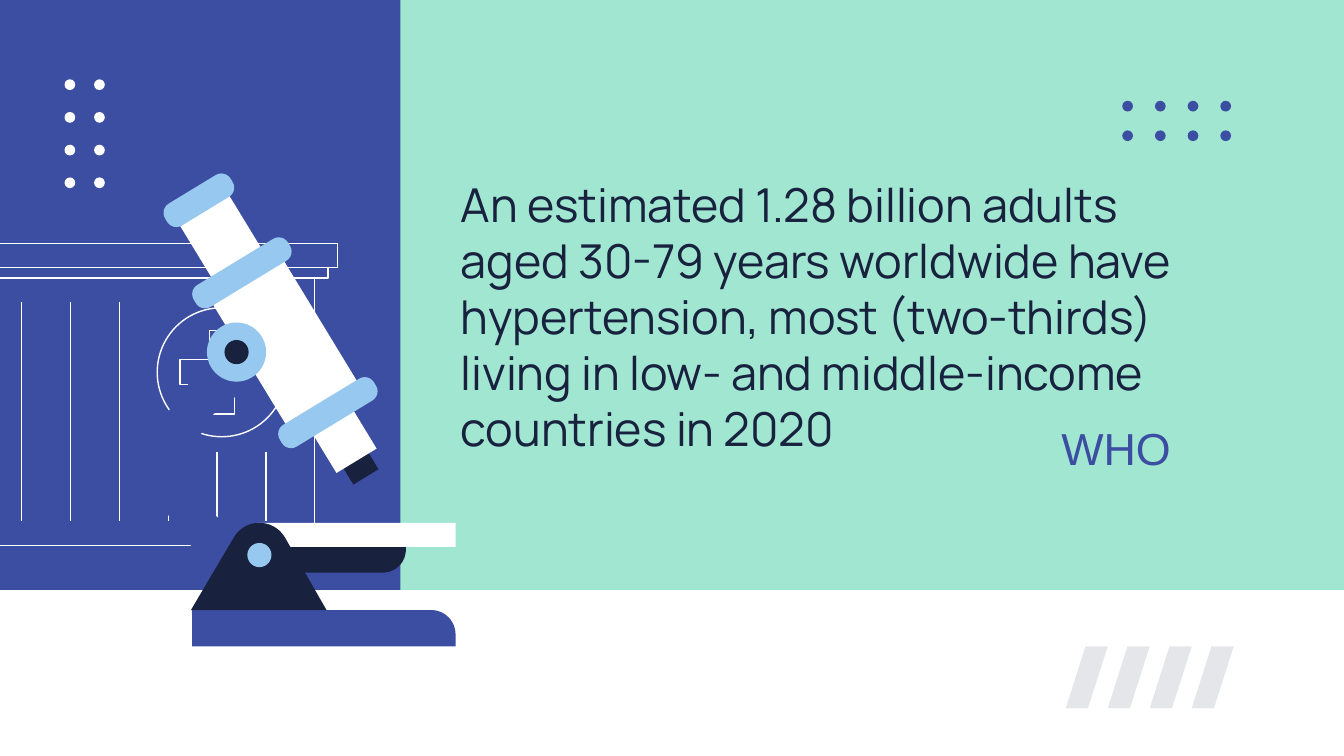
from math import cos, radians, sin

from lxml.etree import SubElement
from pptx import Presentation
from pptx.dml.color import RGBColor
from pptx.enum.shapes import MSO_CONNECTOR, MSO_SHAPE
from pptx.enum.text import MSO_ANCHOR, PP_ALIGN
from pptx.oxml.ns import qn
from pptx.util import Inches, Pt

BLUE, NAVY, SKY, WHITE, MINT = "3C4EA2", "18223F", "97C8EF", "FFFFFF", "A1E6D1"
PAGE_WIDTH, PAGE_HEIGHT = 10, 45 / 8
TILT = -31.3


def color(value):
    return RGBColor.from_string(value)


def paint(shape, fill=None, line=None, alpha=None):
    shape.shadow.inherit = False
    if fill:
        shape.fill.solid()
        shape.fill.fore_color.rgb = color(fill)
    else:
        shape.fill.background()
    if line:
        shape.line.color.rgb = color(line)
        shape.line.width = Pt(0.75)
    else:
        shape.line.fill.background()
    if alpha:
        tone = shape._element.spPr.find(qn("a:solidFill"))[0]
        SubElement(tone, qn("a:alpha"), val=str(alpha * 1000))


def add_preset(page, kind, box, fill=None, line=None, alpha=None, adjust=None):
    shape = page.shapes.add_shape(kind, *[Inches(length) for length in box])
    if adjust is not None:
        shape.adjustments[0] = adjust
    paint(shape, fill, line, alpha)
    return shape


def add_disc(page, center_x, center_y, size, fill=None, line=None):
    box = (center_x - size / 2, center_y - size / 2, size, size)
    add_preset(page, MSO_SHAPE.OVAL, box, fill, line)


def arc(center_x, center_y, radius, start, end, steps=24):
    """Points on a circle; degrees run clockwise from the right."""
    angles = [radians(start + (end - start) * i / steps) for i in range(steps + 1)]
    return [(center_x + radius * cos(a), center_y + radius * sin(a)) for a in angles]


def add_outline(page, left, top, points, fill):
    corners = [(Inches(left + x), Inches(top + y)) for x, y in points]
    builder = page.shapes.build_freeform(*corners[0])
    builder.add_line_segments(corners[1:], close=True)
    paint(builder.convert_to_shape(), fill)


def add_rule(page, x, top, bottom):
    rule = page.shapes.add_connector(
        MSO_CONNECTOR.STRAIGHT, Inches(x), Inches(top), Inches(x), Inches(bottom))
    rule.line.color.rgb = color(WHITE)
    rule.line.width = Pt(0.75)
    SubElement(rule._element.spPr, qn("a:effectLst"))


def add_tilted(page, center_x, center_y, width, height, fill, radius=0):
    kind = MSO_SHAPE.ROUNDED_RECTANGLE if radius else MSO_SHAPE.RECTANGLE
    box = (center_x - width / 2, center_y - height / 2, width, height)
    adjust = radius / min(width, height) if radius else None
    add_preset(page, kind, box, fill, adjust=adjust).rotation = TILT


def add_dots(page, box, columns, rows, fill):
    """Spread dots evenly, with the outer centres on the edges of the box."""
    left, top, width, height = box
    for row in range(rows):
        for column in range(columns):
            add_disc(page, left + width * column / (columns - 1),
                     top + height * row / (rows - 1), 0.08, fill)


def add_stripes(page, box, count=4):
    left, top, width, height = box
    step = width / count
    for i in range(count):
        add_preset(page, MSO_SHAPE.PARALLELOGRAM, (left + i * step, top, step, height),
                   NAVY, alpha=11, adjust=0.47)


def add_backdrop(page):
    page.background.fill.solid()
    page.background.fill.fore_color.rgb = color(MINT)
    add_preset(page, MSO_SHAPE.RECTANGLE, (0, 0, 2.98, PAGE_HEIGHT), BLUE)
    add_preset(page, MSO_SHAPE.RECTANGLE,
               (0, 4.39, PAGE_WIDTH, PAGE_HEIGHT - 4.39), WHITE)
    add_stripes(page, (7.93, 4.81, 1.25, 0.46))
    add_dots(page, (0.52, 0.63, 0.22, 0.73), 2, 4, WHITE)
    add_dots(page, (8.39, 0.79, 0.73, 0.22), 4, 2, BLUE)


def add_text(page, box, text, font, size, tone, align=PP_ALIGN.LEFT):
    frame = page.shapes.add_textbox(*[Inches(length) for length in box]).text_frame
    frame.word_wrap = True
    frame.vertical_anchor = MSO_ANCHOR.TOP
    frame.margin_left = frame.margin_right = Inches(0.1)
    frame.margin_top = frame.margin_bottom = Inches(0.1)
    para = frame.paragraphs[0]
    para.alignment = align
    span = para.add_run()
    span.text = text
    span.font.name = font
    span.font.size = Pt(size)
    span.font.color.rgb = color(tone)


def add_clinic(page, left, top):
    """Line drawing of a building that runs off the left edge."""
    for x, y, width, height in [(0.17, 0.26, 4.36, 1.99), (0, 0, 4.7, 0.18),
                                (0.08, 0.18, 4.55, 0.08)]:
        box = (left + x, top + y, width, height)
        add_preset(page, MSO_SHAPE.RECTANGLE, box, line=WHITE)
    add_disc(page, left + 3.84, top + 0.96, 0.96, line=WHITE)
    box = (left + 3.53, top + 0.65, 0.62, 0.62)
    add_preset(page, MSO_SHAPE.CROSS, box, line=WHITE, adjust=0.35)
    for i in range(6):
        start = 0.44 if i < 3 else 1.55
        add_rule(page, left + 2.35 + 1.82 * i / 5, top + start, top + 2.07)


def add_microscope(page, left, top):
    arm = arc(0.86, 2.17, 0.84, 270, 90) + arc(0.87, 2.17, 0.56, 90, 270)
    brace = arc(0.86, 2.17, 0.84, 260, 90) + [
        (0.88, 2.87), (0.68, 2.77), (0.47, 2.58), (0.34, 2.4),
        (0.25, 2.11), (0.29, 1.84), (0.4, 1.6), (0.54, 1.45)]
    shelf = [(0.77, 2.76), (1.88, 2.76)] + arc(1.71, 2.81, 0.17, 0, 90) + [(0.77, 2.98)]
    base = [(0.29, 3.53), (0.29, 3.26)] + arc(2.07, 3.44, 0.18, 270, 360) + [(2.25, 3.53)]
    foot = [(0.28, 3.26)] + arc(0.79, 2.83, 0.22, 211, 329) + [(1.29, 3.26)]
    for points, fill in [(arm, BLUE), (brace, BLUE), (shelf, NAVY), (base, BLUE)]:
        add_outline(page, left, top, points, fill)
    add_preset(page, MSO_SHAPE.RECTANGLE, (left + 0.77, top + 2.61, 1.48, 0.18), WHITE)
    add_outline(page, left, top, foot, NAVY)
    add_disc(page, left + 0.79, top + 2.85, 0.18, SKY)

    for x, y, width, height, fill in [
            (1.42, 2, 0.22, 0.63, NAVY), (0.98, 1.27, 0.62, 1.22, WHITE),
            (0.5, 0.48, 0.43, 0.63, WHITE), (1.35, 1.88, 0.35, 0.63, WHITE)]:
        add_tilted(page, left + x, top + y, width, height, fill)
    for x, y, width in [(1.3, 1.79, 0.82), (0.66, 0.75, 0.82), (0.34, 0.21, 0.57)]:
        add_tilted(page, left + x, top + y, width, 0.19, SKY, radius=0.08)
    for size, fill in [(0.44, SKY), (0.18, NAVY)]:
        add_disc(page, left + 0.62, top + 1.34, size, fill)


def main():
    deck = Presentation()
    deck.slide_width, deck.slide_height = Inches(PAGE_WIDTH), Inches(PAGE_HEIGHT)
    page = deck.slides.add_slide(deck.slide_layouts[6])
    add_backdrop(page)
    add_text(page, (3.08, 3.03, 5.73, 0.49), "WHO", "Arial", 24, BLUE, PP_ALIGN.RIGHT)
    add_text(page, (3.33, 1.21, 5.73, 2.18),
             "An estimated 1.28 billion adults aged 30-79 years worldwide have "
             "hypertension, most (two-thirds) living in low- and middle-income "
             "countries in 2020", "Manrope", 25, NAVY)
    add_clinic(page, -2.19, 1.81)
    add_microscope(page, 1.14, 1.28)
    deck.save("out.pptx")


if __name__ == "__main__":
    main()
